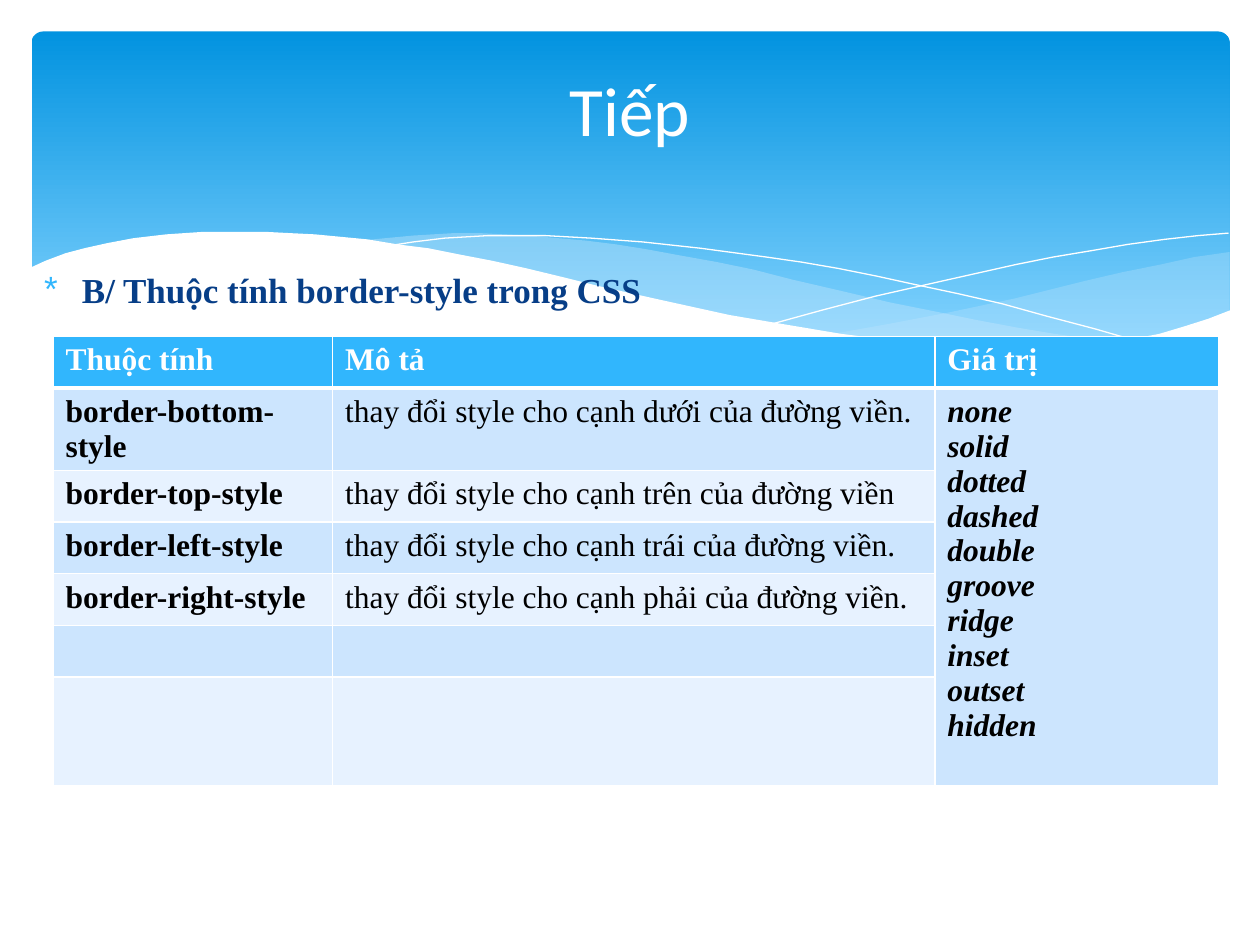
from lxml import etree
from pptx import Presentation
from pptx.dml.color import RGBColor
from pptx.enum.shapes import MSO_SHAPE
from pptx.enum.text import MSO_ANCHOR, PP_ALIGN
from pptx.oxml import parse_xml
from pptx.oxml.ns import nsdecls, qn
from pptx.util import Inches, Pt


def color(hex_string):
    return RGBColor.from_string(hex_string)


def add_run(paragraph, text, font_name, size, hex_string, bold=False, italic=False):
    run = paragraph.add_run()
    run.text = text
    run.font.name = font_name
    run.font.size = Pt(size)
    run.font.color.rgb = color(hex_string)
    run.font.bold = bold
    run.font.italic = italic


presentation = Presentation()
presentation.slide_width = Inches(10)
presentation.slide_height = Inches(7.5)
slide = presentation.slides.add_slide(presentation.slide_layouts[1])

# Blue gradient panel
panel = slide.shapes.add_shape(
    MSO_SHAPE.ROUNDED_RECTANGLE, Inches(0.25), Inches(0.25), Inches(9.51), Inches(2.7))
panel.adjustments[0] = 0.034
panel.shadow.inherit = False
panel.line.fill.background()
panel.fill.gradient()
panel.fill.gradient_angle = 270
for stop, position, shade in zip(panel.fill.gradient_stops, (0, 0.9), ("0293E0", "81D2FE")):
    stop.position = position
    stop.color.rgb = color(shade)

# Waves: fill colour, opacity in percent, outline points in inches
right_wave = [
    (9.76, 2), (9.48, 2.04), (9.21, 2.1), (8.91, 2.16), (8.61, 2.23), (8.05, 2.37),
    (7.53, 2.48), (7.06, 2.57), (6.61, 2.65), (6.91, 2.69), (7.19, 2.72), (7.45, 2.75),
    (7.69, 2.77), (8.03, 2.78), (8.35, 2.77), (8.63, 2.75), (8.89, 2.72), (9.13, 2.67),
    (9.35, 2.62), (9.49, 2.57), (9.63, 2.52), (9.76, 2.47)]
middle_wave = [
    (8.93, 2.73), (8.66, 2.69), (8.37, 2.65), (8.07, 2.6), (7.75, 2.54), (7.41, 2.47),
    (7.06, 2.4), (6.68, 2.31), (6.29, 2.22), (5.98, 2.14), (5.69, 2.08), (5.41, 2.03),
    (5.14, 1.98), (4.89, 1.94), (4.65, 1.91), (4.42, 1.89), (4.2, 1.87), (3.99, 1.86),
    (3.8, 1.85), (3.61, 1.85), (3.28, 1.87), (2.86, 1.91), (3.23, 1.96), (3.62, 2.03),
    (4.04, 2.11), (4.49, 2.22), (4.91, 2.32), (5.3, 2.4), (5.66, 2.48), (6.01, 2.55),
    (6.34, 2.61), (6.65, 2.66), (6.95, 2.7), (7.22, 2.74), (7.48, 2.76), (7.73, 2.77),
    (7.96, 2.78), (8.28, 2.78), (8.57, 2.77), (8.76, 2.75)]
falling_line = [
    (3.09, 1.95), (3.28, 1.92), (3.53, 1.89), (3.87, 1.87), (4.33, 1.87), (4.69, 1.89),
    (5.1, 1.92), (5.56, 1.97), (6.08, 2.04), (6.36, 2.08), (6.65, 2.13), (6.95, 2.19),
    (7.27, 2.26), (7.6, 2.33), (7.95, 2.41), (8.31, 2.51), (8.69, 2.61), (9.07, 2.72)]
rising_line = [
    (6.13, 2.57), (6.53, 2.46), (6.95, 2.35), (7.48, 2.23), (8.06, 2.1), (8.36, 2.04),
    (8.66, 1.99), (8.95, 1.94), (9.24, 1.9), (9.51, 1.87), (9.75, 1.85)]
white_wave = [
    (9.77, 2.46), (9.59, 2.53), (9.4, 2.59), (9.2, 2.65), (8.99, 2.69), (8.75, 2.73),
    (8.5, 2.75), (8.23, 2.77), (8.09, 2.77), (7.78, 2.76), (7.44, 2.74), (7.08, 2.7),
    (6.68, 2.65), (6.26, 2.58), (5.79, 2.5), (5.29, 2.39), (4.75, 2.27), (4.47, 2.2),
    (4.18, 2.13), (3.91, 2.07), (3.65, 2.02), (3.4, 1.97), (3.16, 1.94), (2.92, 1.9),
    (2.71, 1.88), (2.5, 1.86), (2.3, 1.85), (2.11, 1.84), (1.61, 1.84), (1.32, 1.86),
    (1.06, 1.89), (0.85, 1.93), (0.67, 1.97), (0.52, 2.01), (0.36, 2.07), (0.23, 2.13),
    (0.23, 3.29), (9.77, 3.29)]
waves = [
    (right_wave, "C6E7FC", 29), (middle_wave, "C6E7FC", 40),
    (falling_line, None, 100), (rising_line, None, 100), (white_wave, "FFFFFF", 100)]
for points, fill_color, opacity in waves:
    corners = [(Inches(x), Inches(y)) for x, y in points]
    builder = slide.shapes.build_freeform(*corners[0])
    builder.add_line_segments(corners[1:], close=fill_color is not None)
    wave = builder.convert_to_shape()
    wave.shadow.inherit = False
    if fill_color is None:
        wave.fill.background()
        wave.line.color.rgb = color("FFFFFF")
        wave.line.width = Pt(0.75)
        continue
    wave.line.fill.background()
    wave.fill.solid()
    wave.fill.fore_color.rgb = color(fill_color)
    if opacity < 100:
        fill_element = wave.element.spPr.find(qn("a:solidFill"))
        etree.SubElement(fill_element[0], qn("a:alpha"), val=str(opacity * 1000))

# Title and list, brought in front of the waves
title = slide.shapes.title
body = slide.placeholders[1]
for placeholder, box in ((body, (0.25, 2.08, 9.5, 5.29)), (title, (0.5, 0.58, 9, 0.56))):
    placeholder.left, placeholder.top, placeholder.width, placeholder.height = map(Inches, box)
    placeholder.element.getparent().append(placeholder.element)

title.text_frame.vertical_anchor = MSO_ANCHOR.MIDDLE
heading = title.text_frame.paragraphs[0]
heading.alignment = PP_ALIGN.CENTER
add_run(heading, "Tiếp", "Calibri", 39.6, "FFFFFF")

bullet = body.text_frame.paragraphs[0]
add_run(bullet, "B/ Thuộc tính border-style trong CSS", "Times New Roman", 20, "073E87", bold=True)
bullet_properties = bullet._p.get_or_add_pPr()
bullet_properties.set("marL", str(Inches(0.3)))
bullet_properties.set("indent", str(Inches(-0.3)))
bullet_properties.append(parse_xml(
    f'<a:buClr {nsdecls("a")}><a:srgbClr val="31B6FD"/></a:buClr>'))
bullet_properties.append(parse_xml(f'<a:buChar {nsdecls("a")} char="*"/>'))

# Table of border-style properties
rows = [
    ("Thuộc tính", "Mô tả", "Giá trị"),
    ("border-bottom-style", "thay đổi style cho cạnh dưới của đường viền.",
     "none solid dotted dashed double groove ridge inset outset hidden"),
    ("border-top-style", "thay đổi style cho cạnh trên của đường viền", ""),
    ("border-left-style", "thay đổi style cho cạnh trái của đường viền.", ""),
    ("border-right-style", "thay đổi style cho cạnh phải của đường viền.", ""),
    ("", "", ""),
    ("", "", ""),
]
column_widths = (2.22, 4.78, 2.25)
row_heights = (0.41, 0.65, 0.41, 0.41, 0.41, 0.41, 0.86)
table = slide.shapes.add_table(
    len(rows), len(column_widths), Inches(0.42), Inches(2.67),
    Inches(sum(column_widths)), Inches(sum(row_heights))).table
for column, width in zip(table.columns, column_widths):
    column.width = Inches(width)
for row, height in zip(table.rows, row_heights):
    row.height = Inches(height)
table.cell(1, 2).merge(table.cell(len(rows) - 1, 2))

for row_index, texts in enumerate(rows):
    for column_index, text in enumerate(texts):
        cell = table.cell(row_index, column_index)
        is_header = row_index == 0
        is_values = column_index == 2 and not is_header

        # Borders come before the fill in the cell properties
        cell_properties = cell._tc.get_or_add_tcPr()
        for side in ("lnL", "lnR", "lnT", "lnB"):
            thick = (row_index, side) in ((0, "lnB"), (1, "lnT"))
            cell_properties.append(parse_xml(
                f'<a:{side} {nsdecls("a")} w="{Pt(3 if thick else 1)}">'
                f'<a:solidFill><a:srgbClr val="FFFFFF"/></a:solidFill></a:{side}>'))
        cell.fill.solid()
        band = "CCE5FE" if row_index % 2 or is_values else "E7F2FF"
        cell.fill.fore_color.rgb = color("31B6FD" if is_header else band)

        lines = text.split() if is_values else [text] if text else []
        for line_index, line in enumerate(lines):
            frame = cell.text_frame
            paragraph = frame.add_paragraph() if line_index else frame.paragraphs[0]
            add_run(paragraph, line, "Times New Roman", 18,
                    "FFFFFF" if is_header else "000000",
                    bold=is_header or column_index != 1, italic=is_values)

presentation.save("out.pptx")
